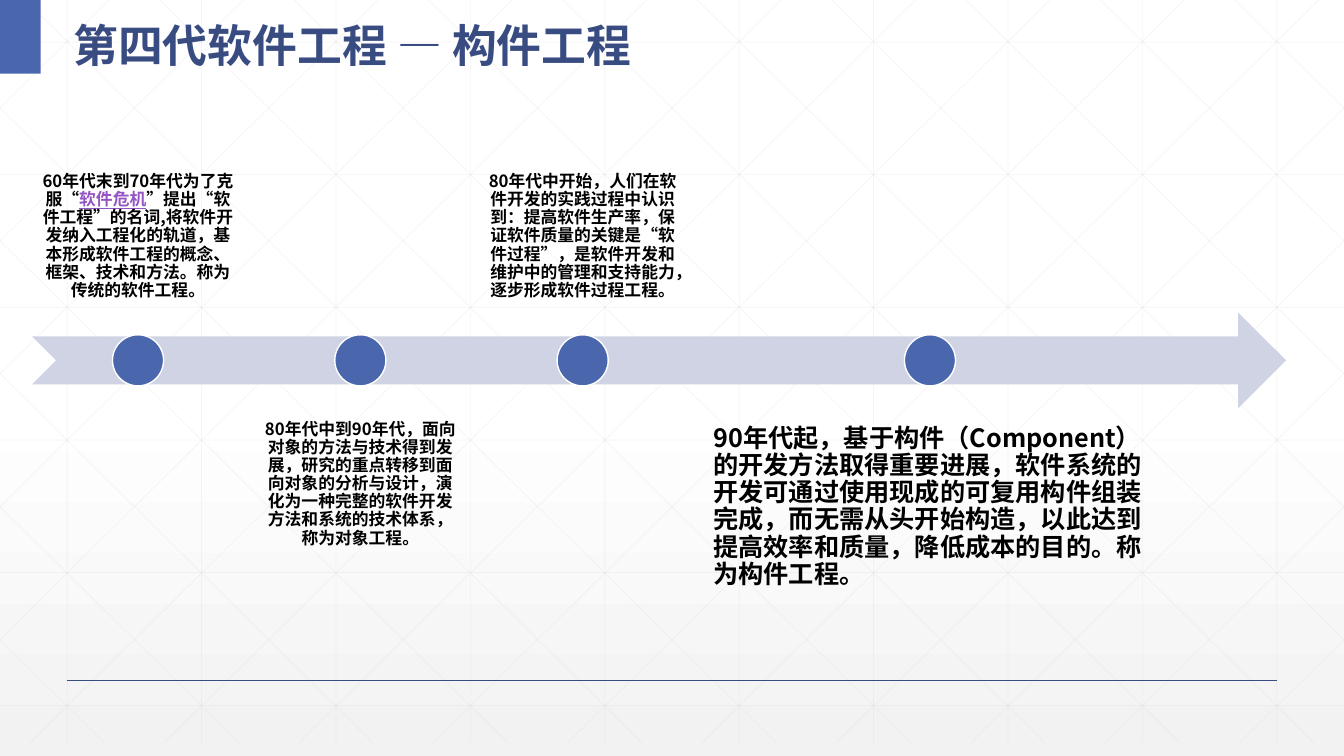
from lxml import etree
from pptx import Presentation
from pptx.dml.color import RGBColor
from pptx.enum import lang, shapes, text
from pptx.oxml.ns import qn
from pptx.util import Pt

WIDTH, HEIGHT = 960, 540
FONT = "Noto Sans CJK SC"
NAVY, BLUE, PALE, BLACK, PURPLE = "384C81", "4A66AC", "D0D3E3", "000000", "9454C3"
ERAS = [
    (["60年代末到70年代为了克服“", "软件危机",
      "”提出“软件工程”的名词,将软件开发纳入工程化的轨道，基本形成软件工程的概念、框架、"
      "技术和方法。称为传统的软件工程。"], 151.2, 12),
    (["80年代中到90年代，面向对象的方法与技术得到发展，研究的重点转移到面向对象的分析与设计，"
      "演化为一种完整的软件开发方法和系统的技术体系，称为对象工程。"], 151.2, 12),
    (["80年代中开始，人们在软件开发的实践过程中认识到：提高软件生产率，保证软件质量的关键是"
      "“软件过程”，是软件开发和维护中的管理和支持能力，逐步形成软件过程工程。"], 151.2, 12),
    (["90年代起，基于构件（Component）的开发方法取得重要进展，软件系统的开发可通过使用现成的"
      "可复用构件组装完成，而无需从头开始构造，以此达到提高效率和质量，降低成本的目的。"
      "称为构件工程。"], 329.8, 18),
]


def color(hex_string):
    """Turn a hex string into a colour."""
    return RGBColor.from_string(hex_string)


def add_line(slide, start, end, hex_string, weight, opacity=100):
    """Draw a straight line between two points."""
    line = slide.shapes.add_connector(
        shapes.MSO_CONNECTOR.STRAIGHT, *map(Pt, start + end))
    line.line.width = Pt(weight)
    line.line.color.rgb = color(hex_string)
    properties = line._element.spPr
    if opacity < 100:
        tint = properties.find(".//" + qn("a:srgbClr"))
        etree.SubElement(tint, qn("a:alpha")).set("val", str(opacity * 1000))
    etree.SubElement(properties, qn("a:effectLst"))


def add_figure(slide, kind, box, fill, outline=None):
    """Draw a filled preset shape in the given box."""
    figure = slide.shapes.add_shape(kind, *map(Pt, box))
    figure.shadow.inherit = False
    figure.fill.solid()
    figure.fill.fore_color.rgb = color(fill)
    if outline:
        figure.line.color.rgb = color(outline)
        figure.line.width = Pt(1)
    else:
        figure.line.fill.background()


def add_words(slide, box, pieces, size, fill, anchor, align, spacing, insets):
    """Place one paragraph of bold text in the given box."""
    frame = slide.shapes.add_textbox(*map(Pt, box)).text_frame
    frame.word_wrap = True
    frame.auto_size = text.MSO_AUTO_SIZE.NONE
    frame.vertical_anchor = anchor
    frame.margin_left = frame.margin_right = Pt(insets[0])
    frame.margin_top = frame.margin_bottom = Pt(insets[1])
    paragraph = frame.paragraphs[0]
    paragraph.alignment = align
    paragraph.line_spacing = spacing
    for piece in pieces:
        run = paragraph.add_run()
        run.text = piece
        run.font.size = Pt(size)
        run.font.bold = True
        run.font.color.rgb = color(fill)
        run.font.language_id = lang.MSO_LANGUAGE_ID.SIMPLIFIED_CHINESE
        run.font.name = FONT
        east_asian = etree.SubElement(run._r.get_or_add_rPr(), qn("a:ea"))
        east_asian.set("typeface", FONT)
    return paragraph


def add_backdrop(slide, width, height):
    """Fill the background and lay the faint lattice over it."""
    fill = slide.background.fill
    fill.gradient()
    fill.gradient_angle = 270
    for stop, position, shade in zip(fill.gradient_stops, (0.53, 1), ("FFFFFF", "F2F2F2")):
        stop.position = position
        stop.color.rgb = color(shade)

    pitch, row_pitch, run = 96, 94.75, 536.7
    rise = height / run
    lattice = [((48 + pitch * i, 0), (48 + pitch * i, height)) for i in range(10)]
    lattice += [((0, 30 + row_pitch * i), (width, 30 + row_pitch * i)) for i in range(6)]
    for i in range(-5, 10):
        origin = 18 + pitch * i
        left, right = max(origin, 0), min(origin + run, width)
        top, bottom = (left - origin) * rise, (right - origin) * rise
        lattice.append(((left, top), (right, bottom)))
        lattice.append(((width - left, top), (width - right, bottom)))
    for start, end in lattice:
        add_line(slide, start, end, "D9D9D9", 0.5, 25)


def add_heading(slide, height):
    """Place the corner block and the title in the top band."""
    add_figure(slide, shapes.MSO_SHAPE.RECTANGLE, (0, 0, 29, height), BLUE)
    add_words(slide, (45.2, 0, 489, height), ["第四代软件工程 — 构件工程"], 32, NAVY,
              text.MSO_ANCHOR.MIDDLE, text.PP_ALIGN.LEFT, 1.3, (7.2, 3.6))


def add_timeline(slide, left, top, width, height):
    """Draw the arrow with its dots and the eras above and below it."""
    arrow_height, dot, gap, era_height = 68.4, 36.5, 7.6, 146.2
    middle = top + height / 2
    add_figure(slide, shapes.MSO_SHAPE.NOTCHED_RIGHT_ARROW,
               (left, middle - arrow_height / 2, width, arrow_height), PALE)
    for index, (pieces, era_width, size) in enumerate(ERAS):
        below = index % 2
        era_top = top + height - era_height if below else top
        anchor = text.MSO_ANCHOR.TOP if below else text.MSO_ANCHOR.BOTTOM
        align = text.PP_ALIGN.LEFT if size > 12 else text.PP_ALIGN.CENTER
        inset = size * 0.56
        era = add_words(slide, (left, era_top, era_width, era_height), pieces, size,
                        BLACK, anchor, align, 0.9, (inset, inset))
        if len(pieces) > 1:
            crisis = era.runs[1].font
            crisis.color.rgb = color(PURPLE)
            crisis.underline = True
        add_figure(slide, shapes.MSO_SHAPE.OVAL,
                   (left + (era_width - dot) / 2, middle - dot / 2, dot, dot),
                   BLUE, "FFFFFF")
        left += era_width + gap


def main():
    """Build the slide and save it."""
    deck = Presentation()
    deck.slide_width, deck.slide_height = Pt(WIDTH), Pt(HEIGHT)
    slide = deck.slides.add_slide(deck.slide_layouts[6])
    add_backdrop(slide, WIDTH, 530.7)
    add_line(slide, (48, 486), (WIDTH - 48, 486), NAVY, 1)
    add_heading(slide, 52.6)
    add_timeline(slide, 23, 74.8, 895.7, 365.2)
    deck.save("out.pptx")


if __name__ == "__main__":
    main()
